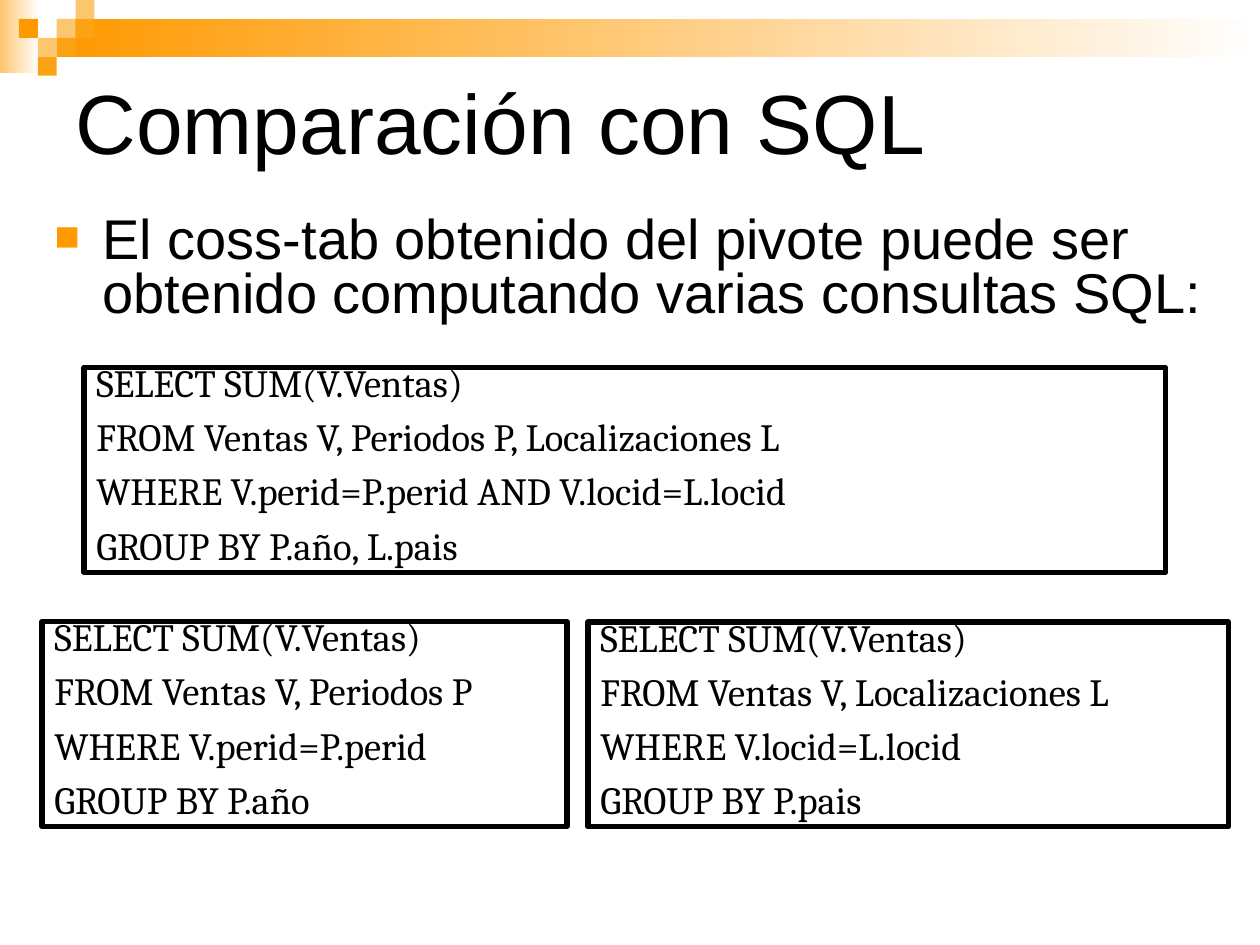
from lxml.etree import SubElement
from pptx import Presentation
from pptx.dml.color import RGBColor
from pptx.enum.shapes import MSO_SHAPE as Preset
from pptx.enum.text import MSO_ANCHOR as Anchor, MSO_AUTO_SIZE as AutoSize, PP_ALIGN as Align
from pptx.oxml.ns import qn
from pptx.util import Inches, Pt

COLORS = {
    "ink": "000000",
    "paper": "FFFFFF",
    "orange": "FF9900",
    "amber": "FBA313",
    "peach": "FCC66E",
}
TILE = 1.8  # side of a corner tile, in grid units
TILES = [  # column, row, color
    (3, 1, "peach"), (4, 0, "peach"), (4, 1, "amber"), (2, 2, "peach"),
    (1, 1, "orange"), (3, 2, "amber"), (2, 3, "amber"),
]
QUERIES = [  # place on the grid, lines
    ((8, 35, 103, 19.5), [
        "SELECT SUM(V.Ventas)",
        "FROM Ventas V, Periodos P, Localizaciones L",
        "WHERE V.perid=P.perid AND V.locid=L.locid",
        "GROUP BY P.año, L.pais",
    ]),
    ((4, 59.2, 50, 19.5), [
        "SELECT SUM(V.Ventas)",
        "FROM Ventas V, Periodos P",
        "WHERE V.perid=P.perid",
        "GROUP BY P.año",
    ]),
    ((56, 59.25, 61, 19.5), [
        "SELECT SUM(V.Ventas)",
        "FROM Ventas V, Localizaciones L",
        "WHERE V.locid=L.locid",
        "GROUP BY P.pais",
    ]),
]


def rgb(name):
    return RGBColor.from_string(COLORS[name])


class SlideBuilder:
    """Places elements on a grid of 120 columns by 90 rows."""

    text_font, code_font = "Arial", "Cambria"
    unit = Inches(1) / 12

    def __init__(self, slide):
        self.slide = slide

    def lengths(self, place):
        return [round(value * self.unit) for value in place]

    def rectangle(self, place):
        shape = self.slide.shapes.add_shape(Preset.RECTANGLE, *self.lengths(place))
        shape.shadow.inherit = False
        return shape

    def tile(self, column, row, color):
        shape = self.rectangle((column * TILE, row * TILE, TILE, TILE))
        shape.fill.solid()
        shape.fill.fore_color.rgb = rgb(color)
        shape.line.fill.background()

    def fading_band(self, place, color):
        """Band that fades to the paper color at its right end."""
        shape = self.rectangle(place)
        shape.fill.gradient()
        shape.fill.gradient_angle = 180
        for stop, name in zip(shape.fill.gradient_stops, ("paper", color)):
            stop.color.rgb = rgb(name)
        shape.line.fill.background()

    def set_text(self, shape, lines, font, size, anchor=Anchor.TOP,
                 spacing=1.0, gap=0, bulleted=False):
        frame = shape.text_frame
        frame.text = "\n".join(lines)
        frame.word_wrap = True
        frame.auto_size = AutoSize.NONE
        frame.vertical_anchor = anchor
        for index, paragraph in enumerate(frame.paragraphs):
            paragraph.alignment = Align.LEFT
            paragraph.line_spacing = spacing
            paragraph.space_before = Pt(gap if index else 0)
            if bulleted:
                self.square_bullet(paragraph)
            paragraph.font.name = font
            paragraph.font.size = Pt(size)
            paragraph.font.color.rgb = rgb("ink")

    def square_bullet(self, paragraph):
        properties = paragraph._p.get_or_add_pPr()
        indent = Inches(0.38)
        properties.set("marL", str(indent))
        properties.set("indent", str(-indent))
        color = SubElement(properties, qn("a:buClr"))
        SubElement(color, qn("a:srgbClr"), val=COLORS["orange"])
        SubElement(properties, qn("a:buSzPct"), val="75000")
        SubElement(properties, qn("a:buFont"), typeface=self.text_font)
        SubElement(properties, qn("a:buChar"), char="■")

    def move(self, shape, place):
        shape.left, shape.top, shape.width, shape.height = self.lengths(place)

    def title(self, place, text):
        shape = self.slide.shapes.title
        self.move(shape, place)
        self.set_text(shape, [text], self.text_font, 48, Anchor.MIDDLE)

    def bullet_list(self, place, items):
        shape = self.slide.placeholders[1]
        self.move(shape, place)
        self.set_text(shape, items, self.text_font, 32, spacing=0.8, gap=8, bulleted=True)

    def query_box(self, place, lines):
        shape = self.rectangle(place)
        shape.fill.background()
        shape.line.color.rgb = rgb("ink")
        shape.line.width = Pt(3)
        self.set_text(shape, lines, self.code_font, 22, spacing=0.65, gap=13.8)


def main():
    presentation = Presentation()
    presentation.slide_width, presentation.slide_height = Inches(10), Inches(7.5)
    builder = SlideBuilder(presentation.slides.add_slide(presentation.slide_layouts[1]))

    builder.fading_band((0, 0, 3.7, 7), "peach")
    builder.fading_band((3 * TILE, TILE, 120 - 3 * TILE, 2 * TILE), "orange")
    for tile in TILES:
        builder.tile(*tile)
    builder.title((6, 6, 108, 11), "Comparación con SQL")
    builder.bullet_list((4, 20, 112, 12), [
        "El coss-tab obtenido del pivote puede ser obtenido computando varias consultas SQL:",
    ])
    for place, lines in QUERIES:
        builder.query_box(place, lines)

    presentation.save("out.pptx")


if __name__ == "__main__":
    main()
